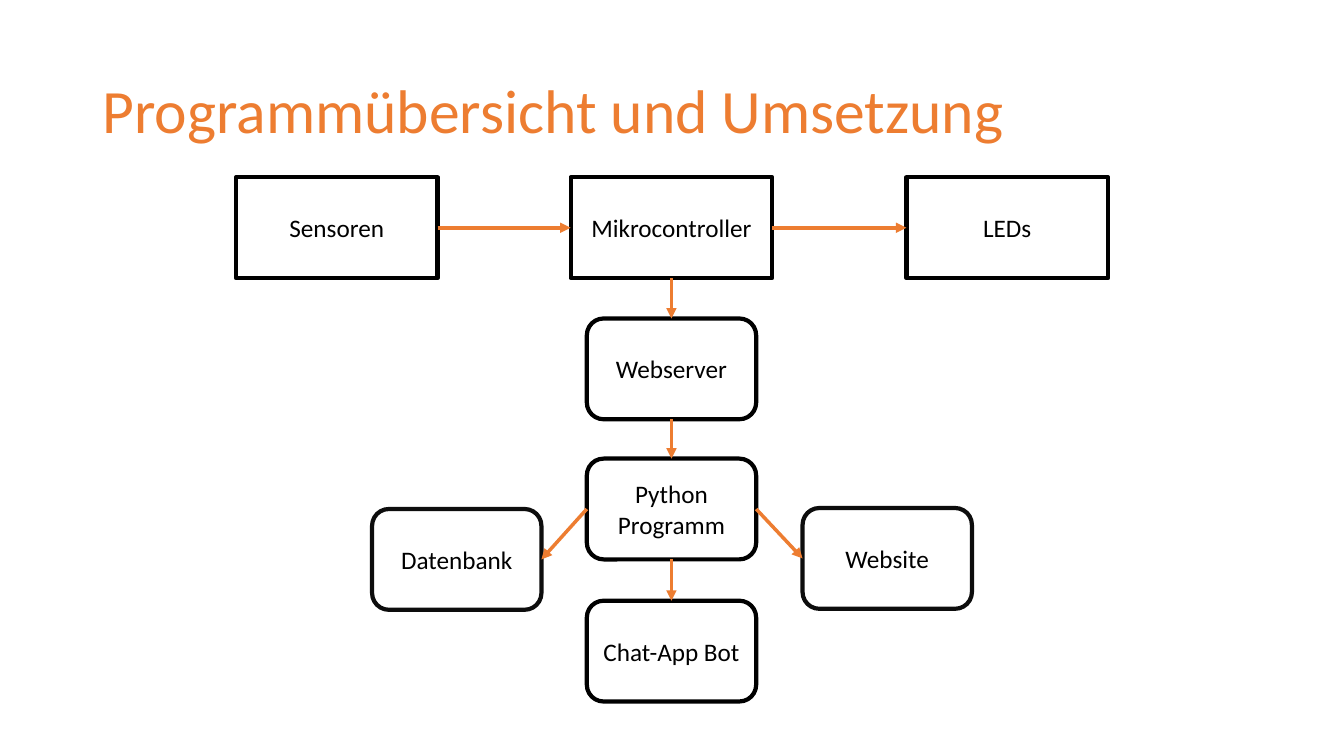
"""Build the program overview slide with its flow diagram."""
import pptx
import pptx.dml.color
import pptx.enum.shapes
import pptx.enum.text
import pptx.oxml
import pptx.oxml.ns
import pptx.util
from dataclasses import dataclass


@dataclass(frozen=True)
class Theme:
    font: str = "Calibri"
    accent: str = "ED7D31"
    black: str = "000000"
    soft_black: str = "0D0D0D"
    white: str = "FFFFFF"
    title_size: int = 44
    label_size: int = 18
    border_width: float = 3
    arrow_width: float = 2.5


theme = Theme()
PX = 9144
RGB = pptx.dml.color.RGBColor.from_string
ALIGN = pptx.enum.text.PP_ALIGN
SHAPE = pptx.enum.shapes.MSO_SHAPE
TOP, LEFT, BOTTOM, RIGHT = range(4)


def write(holder, text, size, color, align=ALIGN.LEFT, spacing=1.0):
    """Fill a shape with one formatted, vertically centred paragraph."""
    frame = holder.text_frame
    frame.word_wrap = True
    frame.vertical_anchor = pptx.enum.text.MSO_ANCHOR.MIDDLE
    paragraph = frame.paragraphs[0]
    paragraph.alignment = align
    paragraph.line_spacing = spacing
    run = paragraph.add_run()
    run.text = text
    run.font.name = theme.font
    run.font.size = pptx.util.Pt(size)
    run.font.color.rgb = RGB(color)


deck = pptx.Presentation()
deck.slide_width, deck.slide_height = pptx.util.Inches(13.33), pptx.util.Inches(7.5)
slide = deck.slides.add_slide(deck.slide_layouts[6])

heading = slide.shapes.add_textbox(92 * PX, 40 * PX, 1150 * PX, 145 * PX)
write(heading, "Programmübersicht und Umsetzung", theme.title_size, theme.accent, spacing=0.9)

device = (SHAPE.RECTANGLE, 200, theme.black)
service = (SHAPE.ROUNDED_RECTANGLE, 168, theme.black)
output = (SHAPE.ROUNDED_RECTANGLE, 168, theme.soft_black)
stations = [
    ("Sensoren", 234, 176, device),
    ("Mikrocontroller", 566, 176, device),
    ("LEDs", 899, 176, device),
    ("Webserver", 582, 316, service),
    ("Python Programm", 582, 455, service),
    ("Datenbank", 369, 505, output),
    ("Website", 796, 504, output),
    ("Chat-App Bot", 582, 596, service),
]
station_boxes = {}
for label, left, top, (outline, width, border) in stations:
    station = slide.shapes.add_shape(outline, left * PX, top * PX, width * PX, 100 * PX)
    station.shadow.inherit = False
    station.fill.solid()
    station.fill.fore_color.rgb = RGB(theme.white)
    station.line.color.rgb = RGB(border)
    station.line.width = pptx.util.Pt(theme.border_width)
    write(station, label, theme.label_size, theme.black, align=ALIGN.CENTER)
    station_boxes[label] = station

flows = [
    ("Sensoren", RIGHT, "Mikrocontroller", LEFT),
    ("Mikrocontroller", RIGHT, "LEDs", LEFT),
    ("Mikrocontroller", BOTTOM, "Webserver", TOP),
    ("Webserver", BOTTOM, "Python Programm", TOP),
    ("Python Programm", RIGHT, "Website", LEFT),
    ("Python Programm", BOTTOM, "Chat-App Bot", TOP),
    ("Python Programm", LEFT, "Datenbank", RIGHT),
]
for source, exit_side, target, entry_side in flows:
    flow = slide.shapes.add_connector(pptx.enum.shapes.MSO_CONNECTOR.STRAIGHT, 0, 0, 0, 0)
    flow.begin_connect(station_boxes[source], exit_side)
    flow.end_connect(station_boxes[target], entry_side)
    flow.line.color.rgb = RGB(theme.accent)
    flow.line.width = pptx.util.Pt(theme.arrow_width)
    properties = flow.element.spPr
    arrowhead = pptx.oxml.parse_xml(
        f'<a:tailEnd {pptx.oxml.ns.nsdecls("a")} type="triangle"/>')
    properties.find(pptx.oxml.ns.qn("a:ln")).append(arrowhead)
    properties.append(pptx.oxml.parse_xml(f'<a:effectLst {pptx.oxml.ns.nsdecls("a")}/>'))

deck.save("out.pptx")
